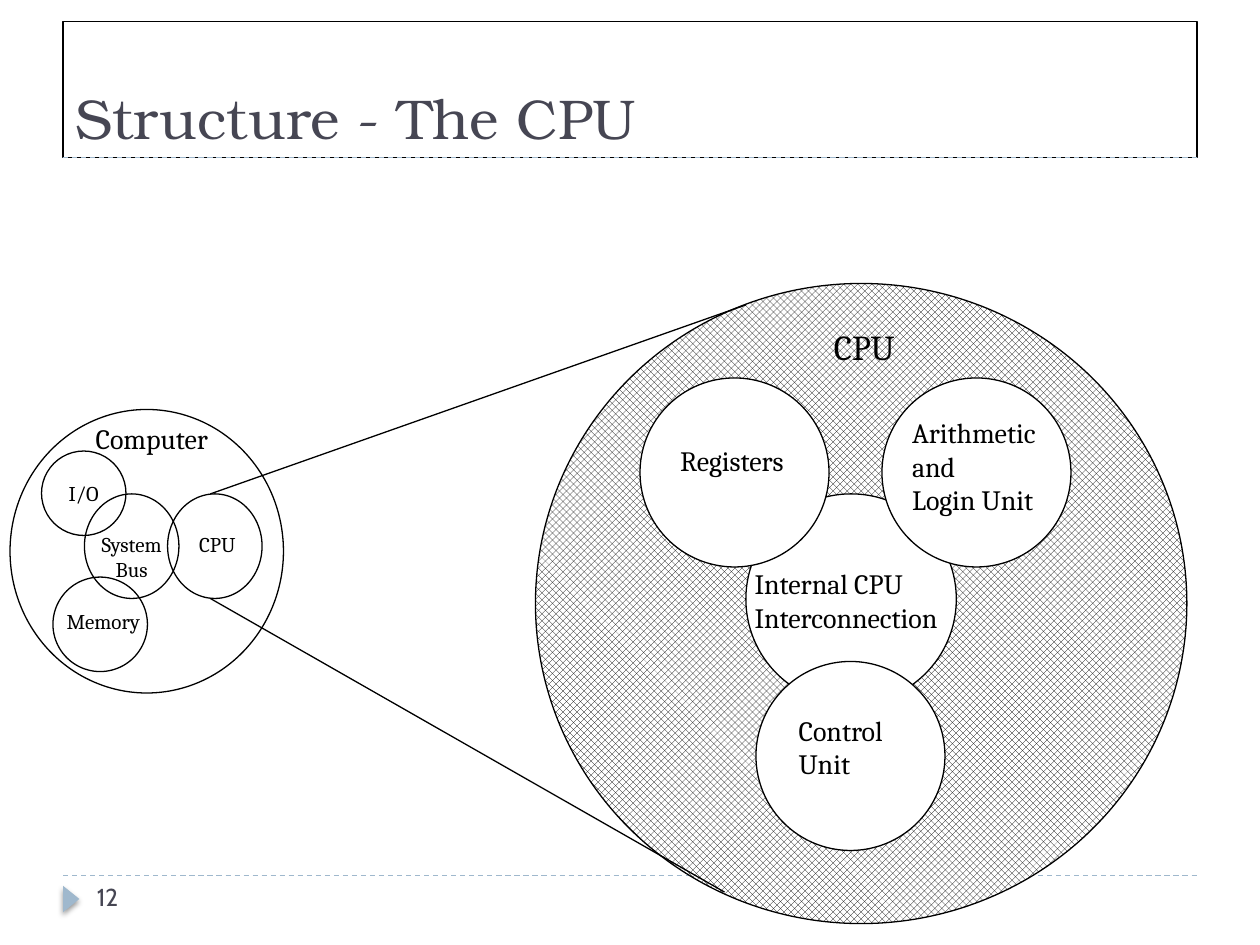
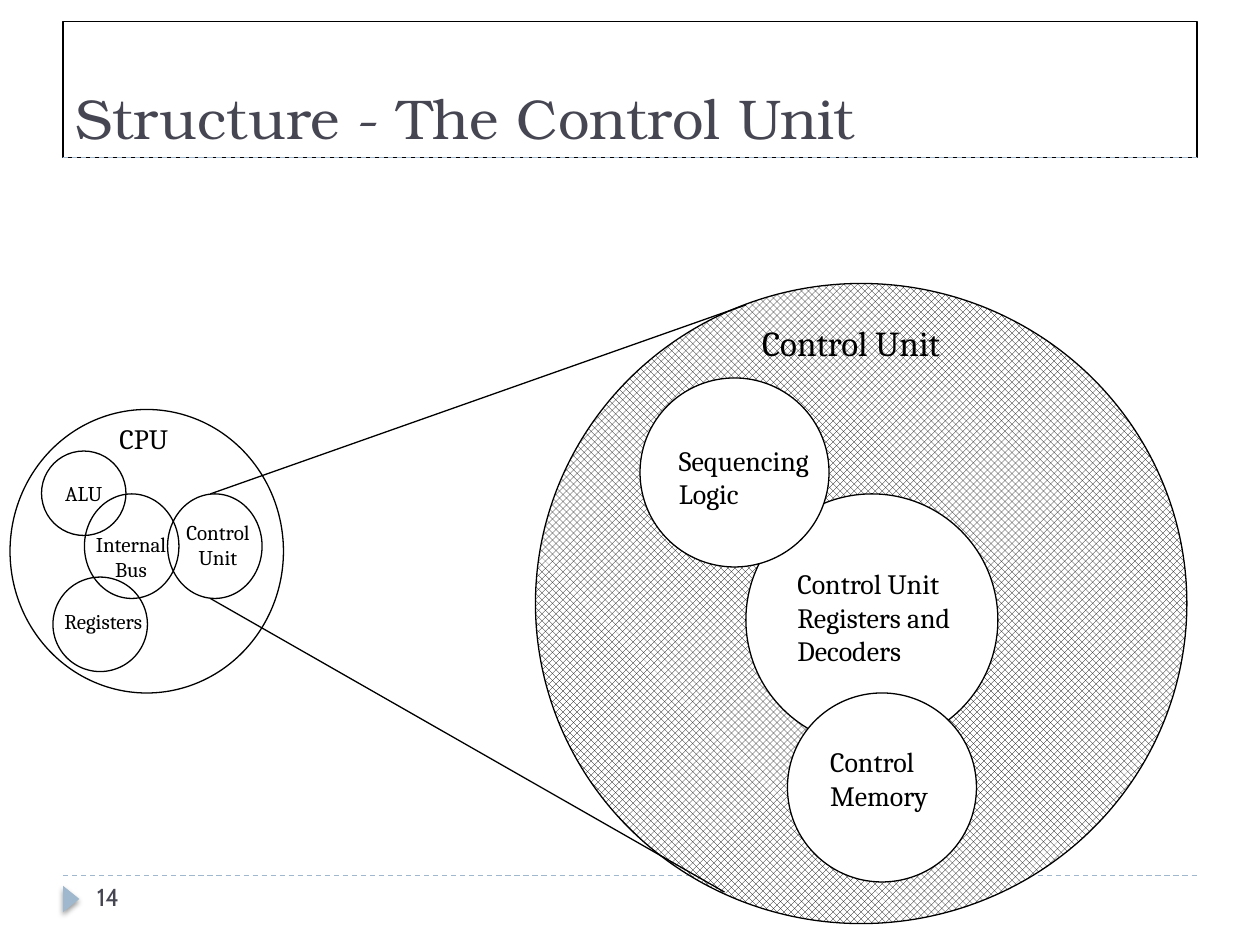
from dataclasses import dataclass

from lxml import etree
from pptx import Presentation
from pptx.dml.color import RGBColor
from pptx.enum.dml import MSO_LINE, MSO_PATTERN
from pptx.enum.shapes import MSO_CONNECTOR, MSO_SHAPE
from pptx.enum.text import MSO_ANCHOR as ANCHOR, MSO_AUTO_SIZE as FIT, PP_ALIGN as ALIGN
from pptx.oxml import parse_xml
from pptx.oxml.ns import nsdecls, qn
from pptx.util import Inches, Pt


@dataclass(frozen=True)
class Theme:
    ink: RGBColor = RGBColor(0, 0, 0)
    paper: RGBColor = RGBColor(0xFF, 0xFF, 0xFF)
    heading: RGBColor = RGBColor(0x46, 0x46, 0x53)
    accent: RGBColor = RGBColor(0x9F, 0xB8, 0xCD)
    title_font: str = "TeX Gyre Bonum"
    number_font: str = "Cabin"
    label_font: str = "Cambria"
    title_size: int = 32
    number_size: int = 14
    zoom_size: int = 20
    part_size: int = 16
    small_size: int = 12
    stroke: float = 0.75


THEME = Theme()

# Circles of the overview on the left: left, top, width, height
WHOLE = (0.08, 3.25, 2.17, 2.25)
UPPER = (0.33, 3.58, 0.67, 0.67)
LOWER = (0.42, 4.58, 0.75, 0.75)
BUS = (0.67, 3.92, 0.75, 0.83)
ENLARGED = (1.33, 3.92, 0.75, 0.83)
# The magnified circle on the right and the rays that lead to it
ZOOM = (4.25, 2.25, 5.17, 5.08)
RAYS = [((1.67, 3.92), (5.92, 2.42)), ((1.67, 4.75), (5.75, 7.08))]
PART_DIAMETER = 1.5

# Labels are (text, left, top, width); parts are (left, top, diameter)
SLIDES = [
    dict(
        title="Structure - The CPU",
        number=12,
        zoom_label=("CPU", 6.48, 2.53, 0.76),
        parts=[(5.92, 3.92, 1.67), (5.08, 3, PART_DIAMETER),
               (7, 3, PART_DIAMETER), (6, 5.25, PART_DIAMETER)],
        part_labels=[
            ("Arithmetic\nand\nLogin Unit", 7.14, 3.25, 1.25),
            ("Control\nUnit", 6.24, 5.61, 0.94),
            ("Internal CPU\nInterconnection", 5.89, 4.45, 1.77),
            ("Registers", 5.3, 3.47, 1.1),
        ],
        whole_label=("Computer", 0.66, 3.3, 1.18),
        upper_text="I/O",
        small_labels=[
            ("CPU", 1.46, 4.17, 0.53),
            ("Memory", 0.41, 4.78, 0.82),
            ("System\nBus", 0.68, 4.17, 0.73),
        ],
    ),
    dict(
        title="Structure - The Control Unit",
        number=14,
        zoom_label=("Control Unit", 5.88, 2.5, 1.75),
        parts=[(5.92, 3.92, 2), (5.08, 3, PART_DIAMETER),
               (6.25, 5.5, PART_DIAMETER)],
        part_labels=[
            ("Control\nMemory", 6.49, 5.86, 1.02),
            ("Control Unit\nRegisters and\nDecoders", 6.23, 4.45, 1.58),
            ("Sequencing\nLogic", 5.29, 3.47, 1.33),
        ],
        whole_label=("CPU", 0.85, 3.3, 0.64),
        upper_text="ALU",
        small_labels=[
            ("Control\nUnit", 1.35, 4.07, 0.76),
            ("Registers", 0.38, 4.78, 0.88),
            ("Internal\nBus", 0.64, 4.17, 0.8),
        ],
    ),
]


def inches(*lengths):
    return [Inches(length) for length in lengths]


def write(frame, text, size, font=THEME.label_font, color=THEME.ink,
          align=ALIGN.LEFT, anchor=ANCHOR.TOP, wrap=False):
    frame.text = text
    frame.word_wrap = wrap
    frame.vertical_anchor = anchor
    frame.margin_left = frame.margin_right = Inches(0.1)
    frame.margin_top = frame.margin_bottom = Inches(0.05)
    for paragraph in frame.paragraphs:
        paragraph.alignment = align
        for run in paragraph.runs:
            run.font.name = font
            run.font.size = Pt(size)
            run.font.color.rgb = color


def outline(shape, color=THEME.ink):
    shape.line.color.rgb = color
    shape.line.width = Pt(THEME.stroke)


def add_title(slide, text):
    title = slide.shapes.title
    title.left, title.top, title.width, title.height = inches(0.5, 0.17, 9, 1.08)
    outline(title)
    write(title.text_frame, text, THEME.title_size, THEME.title_font,
          THEME.heading, anchor=ANCHOR.BOTTOM, wrap=True)
    title.text_frame.auto_size = FIT.NONE


def add_line(slide, start, end, color=THEME.ink, dash=None):
    line = slide.shapes.add_connector(MSO_CONNECTOR.STRAIGHT, *inches(*start, *end))
    outline(line, color)
    if dash:
        line.line.dash_style = dash
    etree.SubElement(line._element.spPr, qn("a:effectLst"))


def add_circle(slide, box, fill=None):
    circle = slide.shapes.add_shape(MSO_SHAPE.OVAL, *inches(*box))
    circle.shadow.inherit = False
    outline(circle)
    if fill is None:
        circle.fill.background()
    else:
        circle.fill.solid()
        circle.fill.fore_color.rgb = fill
    return circle


def hatch(shape):
    shape.fill.patterned()
    shape.fill.pattern = MSO_PATTERN.OUTLINED_DIAMOND
    shape.fill.fore_color.rgb = THEME.ink
    shape.fill.back_color.rgb = THEME.paper


def add_label(slide, label, size, **style):
    """Add a text box whose height follows from its number of lines."""
    text, left, top, width = label
    line_count = text.count("\n") + 1
    height = 0.1 + line_count * size * 1.2 / 72
    box = slide.shapes.add_textbox(*inches(left, top, width, height))
    write(box.text_frame, text, size, **style)
    box.text_frame.auto_size = FIT.SHAPE_TO_FIT_TEXT


def add_page_marker(slide):
    marker = slide.shapes.add_shape(MSO_SHAPE.ISOSCELES_TRIANGLE,
                                    *inches(0.46, 7.07, 0.21, 0.13))
    marker.rotation = 90
    marker.fill.solid()
    marker.fill.fore_color.rgb = THEME.accent
    marker.line.fill.background()
    marker._element.spPr.append(parse_xml(
        f'<a:effectLst {nsdecls("a")}>'
        f'<a:outerShdw blurRad="{Pt(3)}" dist="{Pt(2)}" dir="5400000" rotWithShape="0">'
        f'<a:srgbClr val="{THEME.ink}"><a:alpha val="40000"/></a:srgbClr>'
        '</a:outerShdw></a:effectLst>'))


def add_frame(slide, number):
    """Add the dashed rules and the page number that every slide has."""
    for y in (6.95, 1.25):
        add_line(slide, (0.5, y), (9.5, y), THEME.accent, MSO_LINE.DASH)
    add_page_marker(slide)
    page = slide.shapes.add_textbox(*inches(0.67, 6.95, 2.17, 0.4))
    write(page.text_frame, str(number), THEME.number_size, THEME.number_font,
          THEME.heading, wrap=True)


def add_zoom(slide, content):
    hatch(add_circle(slide, ZOOM))
    for left, top, diameter in content["parts"]:
        add_circle(slide, (left, top, diameter, diameter), THEME.paper)
    for label in content["part_labels"]:
        add_label(slide, label, THEME.part_size)
    add_label(slide, content["zoom_label"], THEME.zoom_size,
              align=ALIGN.CENTER, anchor=ANCHOR.MIDDLE)


def add_overview(slide, content):
    centred = dict(align=ALIGN.CENTER, anchor=ANCHOR.MIDDLE)
    for box in (WHOLE, ENLARGED, LOWER, BUS):
        add_circle(slide, box)
    upper = add_circle(slide, UPPER)
    write(upper.text_frame, content["upper_text"], THEME.small_size, **centred)
    add_label(slide, content["whole_label"], THEME.part_size)
    for label in content["small_labels"]:
        add_label(slide, label, THEME.small_size, **centred)


def main():
    deck = Presentation()
    deck.slide_width, deck.slide_height = inches(10, 7.5)
    title_only = deck.slide_layouts[5]
    for content in SLIDES:
        slide = deck.slides.add_slide(title_only)
        add_title(slide, content["title"])
        add_frame(slide, content["number"])
        add_zoom(slide, content)
        for start, end in RAYS:
            add_line(slide, start, end)
        add_overview(slide, content)
    deck.save("out.pptx")


if __name__ == "__main__":
    main()
